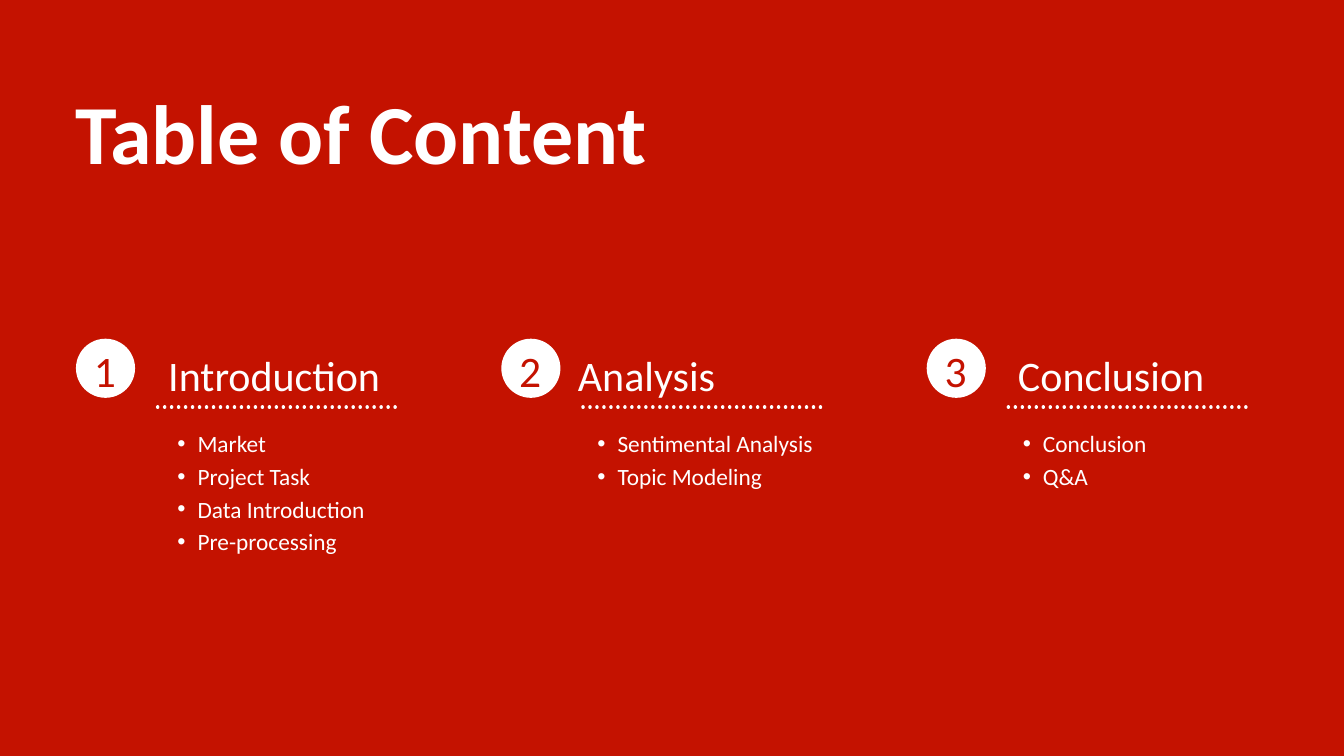
import pptx
import pptx.dml.color
import pptx.enum.dml
import pptx.enum.shapes
import pptx.enum.text
import pptx.oxml.ns
import pptx.util
from lxml import etree

RED = pptx.dml.color.RGBColor(0xC4, 0x12, 0x00)
WHITE = pptx.dml.color.RGBColor(0xFF, 0xFF, 0xFF)
ALIGN = pptx.enum.text.PP_ALIGN
PX = 9144  # EMU in one px, 100 px to the inch

COLUMN_LEFT, COLUMN_PITCH = 113, 633
HEADING_OFFSET = 114

# heading, heading width, alignment, list indent, list width, topics
SECTIONS = [
    ("Introduction", 362, ALIGN.CENTER, 8, 345,
     ["Market", "Project Task", "Data Introduction", "Pre-processing"]),
    ("Analysis", 235, ALIGN.JUSTIFY, 0, 393,
     ["Sentimental Analysis", "Topic Modeling"]),
    ("Conclusion", 321, ALIGN.CENTER, 0, 237,
     ["Conclusion", "Q&A"]),
]


def px(length):
    return pptx.util.Emu(length * PX)


def write(paragraph, text, *, size, spacing, color=WHITE, bold=False,
          align=None, bullet=False):
    if bullet:
        paragraph.level = 1
        properties = paragraph._p.get_or_add_pPr()
        properties.set("marL", str(px(59)))
        properties.set("indent", str(px(-30)))
    paragraph.line_spacing = pptx.util.Pt(spacing)
    paragraph.alignment = align
    if bullet:
        font = etree.SubElement(properties, pptx.oxml.ns.qn("a:buFont"))
        font.set("typeface", "Arial")
        character = etree.SubElement(properties, pptx.oxml.ns.qn("a:buChar"))
        character.set("char", "•")
    run = paragraph.add_run()
    run.text = text
    run.font.name = "Calibri"
    run.font.size = pptx.util.Pt(size)
    run.font.bold = bold
    run.font.color.rgb = color


class Deck:
    """Holds the style and the current slide."""

    def __init__(self, width, height, background):
        self.presentation = pptx.Presentation()
        self.presentation.slide_width = px(width)
        self.presentation.slide_height = px(height)
        layout = self.presentation.slide_layouts[6]
        self.slide = self.presentation.slides.add_slide(layout)
        fill = self.slide.background.fill
        fill.solid()
        fill.fore_color.rgb = background

    def text(self, left, top, width, height, lines, **style):
        box = self.slide.shapes.add_textbox(
            px(left), px(top), px(width), px(height))
        frame = box.text_frame
        frame.word_wrap = True
        frame.margin_left = frame.margin_right = 0
        frame.margin_top = frame.margin_bottom = 0
        for index, line in enumerate(lines):
            paragraph = frame.add_paragraph() if index else frame.paragraphs[0]
            write(paragraph, line, **style)

    def circle(self, left, top, diameter):
        shape = self.slide.shapes.add_shape(
            pptx.enum.shapes.MSO_SHAPE.OVAL,
            px(left), px(top), px(diameter), px(diameter))
        shape.shadow.inherit = False
        shape.fill.solid()
        shape.fill.fore_color.rgb = WHITE
        shape.line.fill.background()

    def dotted_line(self, left, top, width):
        connector = self.slide.shapes.add_connector(
            pptx.enum.shapes.MSO_CONNECTOR.STRAIGHT,
            px(left + width), px(top), px(left), px(top))
        line = connector.line
        line.color.rgb = WHITE
        line.width = pptx.util.Pt(3.75)
        line.dash_style = pptx.enum.dml.MSO_LINE.ROUND_DOT
        properties = connector._element.spPr
        properties.find(pptx.oxml.ns.qn("a:ln")).set("cap", "rnd")
        etree.SubElement(properties, pptx.oxml.ns.qn("a:effectLst"))

    def section(self, number, heading, heading_width, align, list_indent,
                list_width, topics):
        left = COLUMN_LEFT + (number - 1) * COLUMN_PITCH
        heading_left = left + HEADING_OFFSET
        self.circle(left, 504, 88)
        self.text(left + 24, 499, 38, 85, [str(number)], size=46.6,
                  spacing=65.2, color=RED, align=ALIGN.CENTER)
        self.dotted_line(heading_left, 606, 361)
        self.text(heading_left, 508, heading_width, 84, [heading], size=45,
                  spacing=63, align=align)
        self.text(heading_left + list_indent, 632, list_width,
                  49 * len(topics), topics, size=25, spacing=35, bullet=True)


def main():
    deck = Deck(2000, 1125, RED)
    deck.text(112, 95, 1067, 168, ["Table of Content"], size=90, spacing=126,
              bold=True)
    for number, section in enumerate(SECTIONS, start=1):
        deck.section(number, *section)
    deck.presentation.save("out.pptx")


if __name__ == "__main__":
    main()
